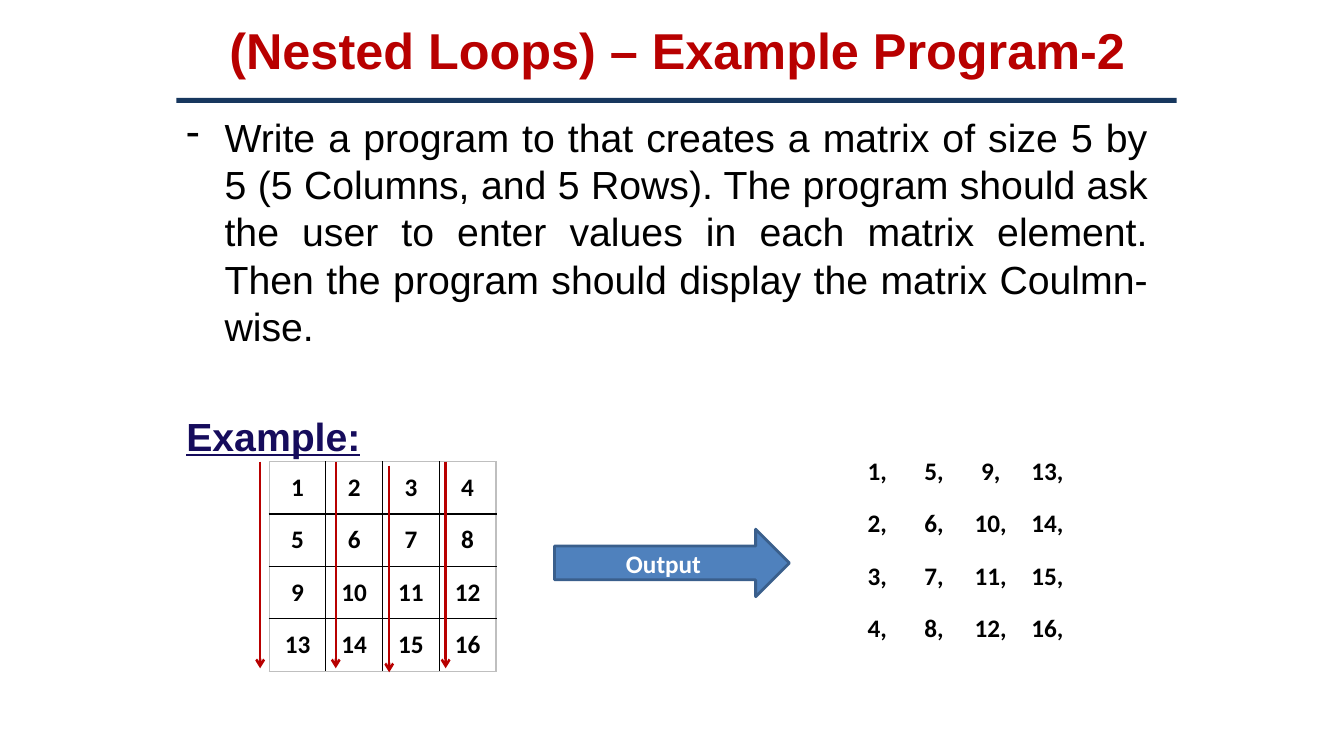
from lxml.etree import SubElement
from pptx import Presentation
from pptx.dml.color import RGBColor
from pptx.enum.shapes import MSO_CONNECTOR, MSO_SHAPE
from pptx.enum.text import MSO_ANCHOR as Anchor, PP_ALIGN as Align
from pptx.oxml.ns import qn
from pptx.util import Inches, Pt

TITLE = "(Nested Loops) – Example Program-2"
TASK = ("Write a program to that creates a matrix of size 5 by 5 (5 Columns, and 5 Rows). "
        "The program should ask the user to enter values in each matrix element. "
        "Then the program should display the matrix Coulmn-wise.")
EXAMPLE = "Example:"
OUTPUT = "Output"
SIZE = 4
MATRIX = [[str(SIZE * row + col + 1) for col in range(SIZE)] for row in range(SIZE)]
COLUMN_WISE = [[value + "," for value in column] for column in zip(*MATRIX)]
READING_ARROWS = [(2.58, 4.58), (3.33, 4.58), (3.86, 4.62), (4.42, 4.58)]
ARROW_LENGTH = 2.05
TABLE_WIDTH, TABLE_HEIGHT = 2.25, 2.08

COLORS = {"red": "B80000", "navy": "17375E", "indigo": "160C5C", "black": "000000",
          "white": "FFFFFF", "blue": "4F81BD", "blue_edge": "3A5F8C", "grey": "BFBFBF"}


def color(name):
    return RGBColor.from_string(COLORS[name])


def add_span(para, text, size, font, tint, bold=False, underline=False):
    span = para.add_run()
    span.text = text
    span.font.size = Pt(size)
    span.font.name = font
    span.font.bold = bold
    span.font.underline = underline
    span.font.color.rgb = color(tint)


def add_block(page, preset, left, top, width, height, fill):
    block = page.shapes.add_shape(preset, Inches(left), Inches(top), Inches(width), Inches(height))
    block.shadow.inherit = False
    block.fill.solid()
    block.fill.fore_color.rgb = color(fill)
    block.line.fill.background()
    return block


def set_borders(cell, row, col):
    """Black rules between cells, grey ones around the table."""
    last = SIZE - 1
    outer = {"a:lnL": col == 0, "a:lnR": col == last, "a:lnT": row == 0, "a:lnB": row == last}
    properties = cell._tc.get_or_add_tcPr()
    for position, (tag, is_outer) in enumerate(outer.items()):
        line = properties.makeelement(qn(tag), {"w": str(Pt(1))})
        fill = SubElement(line, qn("a:solidFill"))
        SubElement(fill, qn("a:srgbClr"), val=COLORS["grey" if is_outer else "black"])
        properties.insert(position, line)


def add_matrix(page, values, left, top, bordered):
    table = page.shapes.add_table(SIZE, SIZE, Inches(left), Inches(top),
                                  Inches(TABLE_WIDTH), Inches(TABLE_HEIGHT)).table
    table.first_row = table.horz_banding = False
    for row, row_values in enumerate(values):
        for col, value in enumerate(row_values):
            cell = table.cell(row, col)
            cell.fill.background()
            cell.vertical_anchor = Anchor.MIDDLE
            para = cell.text_frame.paragraphs[0]
            para.alignment = Align.CENTER
            add_span(para, value, 18, "Calibri", "black", bold=True)
            if bordered:
                set_borders(cell, row, col)


def add_reading_arrow(page, left, top):
    arrow = page.shapes.add_connector(MSO_CONNECTOR.STRAIGHT, Inches(left), Inches(top),
                                      Inches(left), Inches(top + ARROW_LENGTH))
    arrow.line.color.rgb = color("red")
    arrow.line.width = Pt(1.75)
    SubElement(arrow.line._get_or_add_ln(), qn("a:tailEnd"), type="arrow")
    SubElement(arrow._element.spPr, qn("a:effectLst"))


def add_title(page):
    title = page.shapes.title
    title.left, title.top = Inches(1.67), Inches(0)
    title.width, title.height = Inches(9.96), Inches(0.97)
    frame = title.text_frame
    frame.vertical_anchor = Anchor.MIDDLE
    frame.margin_left = Inches(0.24)
    para = frame.paragraphs[0]
    para.alignment = Align.CENTER
    add_span(para, TITLE, 36, "Arial", "red", bold=True)


def add_task(page):
    box = page.shapes.add_textbox(Inches(1.75), Inches(1.08), Inches(9.73), Inches(6.33))
    frame = box.text_frame
    frame.word_wrap = True
    task, example = frame.paragraphs[0], frame.add_paragraph()
    for para in (task, example):
        para.alignment = Align.JUSTIFY
        para.line_spacing = Pt(33.6)
        properties = para._p.get_or_add_pPr()
        properties.set("marL", str(Inches(0.38)))
        properties.set("indent", str(-Inches(0.38)))
    example.space_before = Pt(45)
    SubElement(task._p.get_or_add_pPr(), qn("a:buChar"), char="-")
    SubElement(example._p.get_or_add_pPr(), qn("a:buNone"))
    add_span(task, TASK, 28, "Arial", "black")
    add_span(example, EXAMPLE, 28, "Arial", "indigo", bold=True, underline=True)


def add_output_arrow(page):
    arrow = add_block(page, MSO_SHAPE.RIGHT_ARROW, 5.5, 5.25, 2.33, 0.67, "blue")
    arrow.line.color.rgb = color("blue_edge")
    arrow.line.width = Pt(2)
    arrow.text_frame.vertical_anchor = Anchor.MIDDLE
    para = arrow.text_frame.paragraphs[0]
    para.alignment = Align.CENTER
    add_span(para, OUTPUT, 18, "Calibri", "white", bold=True)


def main():
    deck = Presentation()
    deck.slide_width, deck.slide_height = Inches(13.33), Inches(7.5)
    page = deck.slides.add_slide(deck.slide_layouts[5])
    add_title(page)
    add_task(page)
    add_block(page, MSO_SHAPE.RECTANGLE, 1.75, 0.97, 9.92, 0.05, "navy")
    add_matrix(page, MATRIX, 2.67, 4.58, bordered=True)
    add_output_arrow(page)
    add_matrix(page, COLUMN_WISE, 8.42, 4.42, bordered=False)
    for left, top in READING_ARROWS:
        add_reading_arrow(page, left, top)
    deck.save("out.pptx")


if __name__ == "__main__":
    main()
